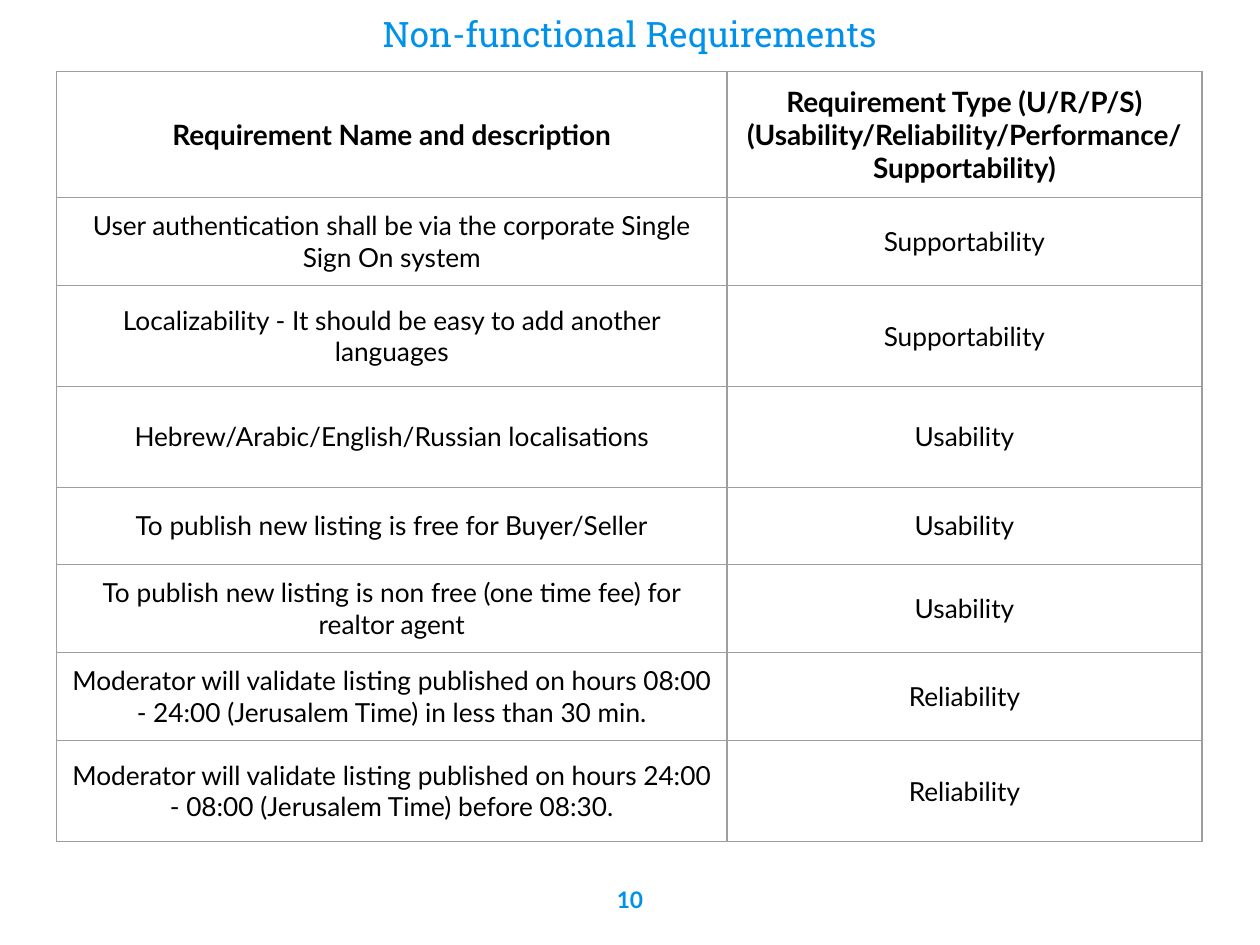
from dataclasses import dataclass

from lxml.etree import SubElement
from pptx import Presentation
from pptx.dml.color import RGBColor
from pptx.enum.text import MSO_ANCHOR as Anchor, MSO_AUTO_SIZE as AutoSize, PP_ALIGN as Align
from pptx.oxml.ns import qn
from pptx.util import Inches, Pt


@dataclass(frozen=True)
class TextStyle:
    font: str
    size: float
    color: str
    bold: bool = False


@dataclass(frozen=True)
class Theme:
    title: TextStyle = TextStyle("Roboto Slab", 20, "0091EA")
    number: TextStyle = TextStyle("Lato", 13, "0091EA", True)
    header: TextStyle = TextStyle("Lato", 16, "000000", True)
    body: TextStyle = TextStyle("Lato", 15, "000000")
    border: str = "9E9E9E"
    border_width: float = 0.75
    inset: float = 0.1


@dataclass(frozen=True)
class Requirement:
    name: str
    kind: str
    height: float


THEME = Theme()
COLUMN_WIDTHS = (5.32, 3.77)
HEADER = Requirement(
    "Requirement Name and description",
    "Requirement Type (U/R/P/S)\n(Usability/Reliability/Performance/\nSupportability)",
    0.9,
)
REQUIREMENTS = (
    Requirement("User authentication shall be via the corporate Single Sign On system",
                "Supportability", 0.68),
    Requirement("Localizability - It should be easy to add another languages",
                "Supportability", 0.8),
    Requirement("Hebrew/Arabic/English/Russian localisations", "Usability", 0.8),
    Requirement("To publish new listing is free for Buyer/Seller", "Usability", 0.61),
    Requirement("To publish new listing is non free (one time fee) for realtor agent",
                "Usability", 0.62),
    Requirement("Moderator will validate listing published on hours 08:00 - 24:00 "
                "(Jerusalem Time) in less than 30 min.", "Reliability", 0.57),
    Requirement("Moderator will validate listing published on hours 24:00 - 08:00 "
                "(Jerusalem Time) before 08:30.", "Reliability", 0.8),
)


def write_text(frame, text: str, style: TextStyle) -> None:
    for index, line in enumerate(text.split("\n")):
        para = frame.add_paragraph() if index else frame.paragraphs[0]
        para.alignment = Align.CENTER
        span = para.add_run()
        span.text = line
        span.font.name = style.font
        span.font.size = Pt(style.size)
        span.font.bold = style.bold
        span.font.color.rgb = RGBColor.from_string(style.color)


def set_insets(holder) -> None:
    holder.margin_left = holder.margin_right = Inches(THEME.inset)
    holder.margin_top = holder.margin_bottom = Inches(THEME.inset)


def fill_box(box, text: str, style: TextStyle, anchor: Anchor) -> None:
    frame = box.text_frame
    frame.word_wrap = True
    frame.auto_size = AutoSize.NONE
    frame.vertical_anchor = anchor
    set_insets(frame)
    write_text(frame, text, style)


def add_borders(cell) -> None:
    properties = cell._tc.get_or_add_tcPr()
    for side in ("a:lnL", "a:lnR", "a:lnT", "a:lnB"):
        line = SubElement(properties, qn(side), w=str(Pt(THEME.border_width)))
        fill = SubElement(line, qn("a:solidFill"))
        SubElement(fill, qn("a:srgbClr"), val=THEME.border)


def fill_cell(cell, text: str, style: TextStyle) -> None:
    set_insets(cell)
    cell.vertical_anchor = Anchor.MIDDLE
    add_borders(cell)
    cell.fill.background()
    write_text(cell.text_frame, text, style)


def add_requirements(page) -> None:
    rows = (HEADER, *REQUIREMENTS)
    table = page.shapes.add_table(
        len(rows), len(COLUMN_WIDTHS), Inches(0.45), Inches(0.57),
        Inches(sum(COLUMN_WIDTHS)), Inches(sum(row.height for row in rows)),
    ).table
    table.first_row = table.horz_banding = False
    for column, width in zip(table.columns, COLUMN_WIDTHS):
        column.width = Inches(width)
    for index, row in enumerate(rows):
        table.rows[index].height = Inches(row.height)
        style = THEME.body if index else THEME.header
        for column, text in enumerate((row.name, row.kind)):
            fill_cell(table.cell(index, column), text, style)


def add_title(page, text: str) -> None:
    title = page.shapes.title
    title.left, title.top = Inches(0.9), Inches(0.25)
    title.width, title.height = Inches(8.2), Inches(0.28)
    fill_box(title, text, THEME.title, Anchor.BOTTOM)


def add_page_number(page, text: str) -> None:
    box = page.shapes.add_textbox(Inches(0), Inches(6.93), Inches(10), Inches(0.57))
    fill_box(box, text, THEME.number, Anchor.TOP)


def main() -> None:
    deck = Presentation()
    deck.slide_width, deck.slide_height = Inches(10), Inches(7.5)
    page = deck.slides.add_slide(deck.slide_layouts[5])
    add_page_number(page, "10")
    add_requirements(page)
    add_title(page, "Non-functional Requirements")
    deck.save("out.pptx")


if __name__ == "__main__":
    main()
